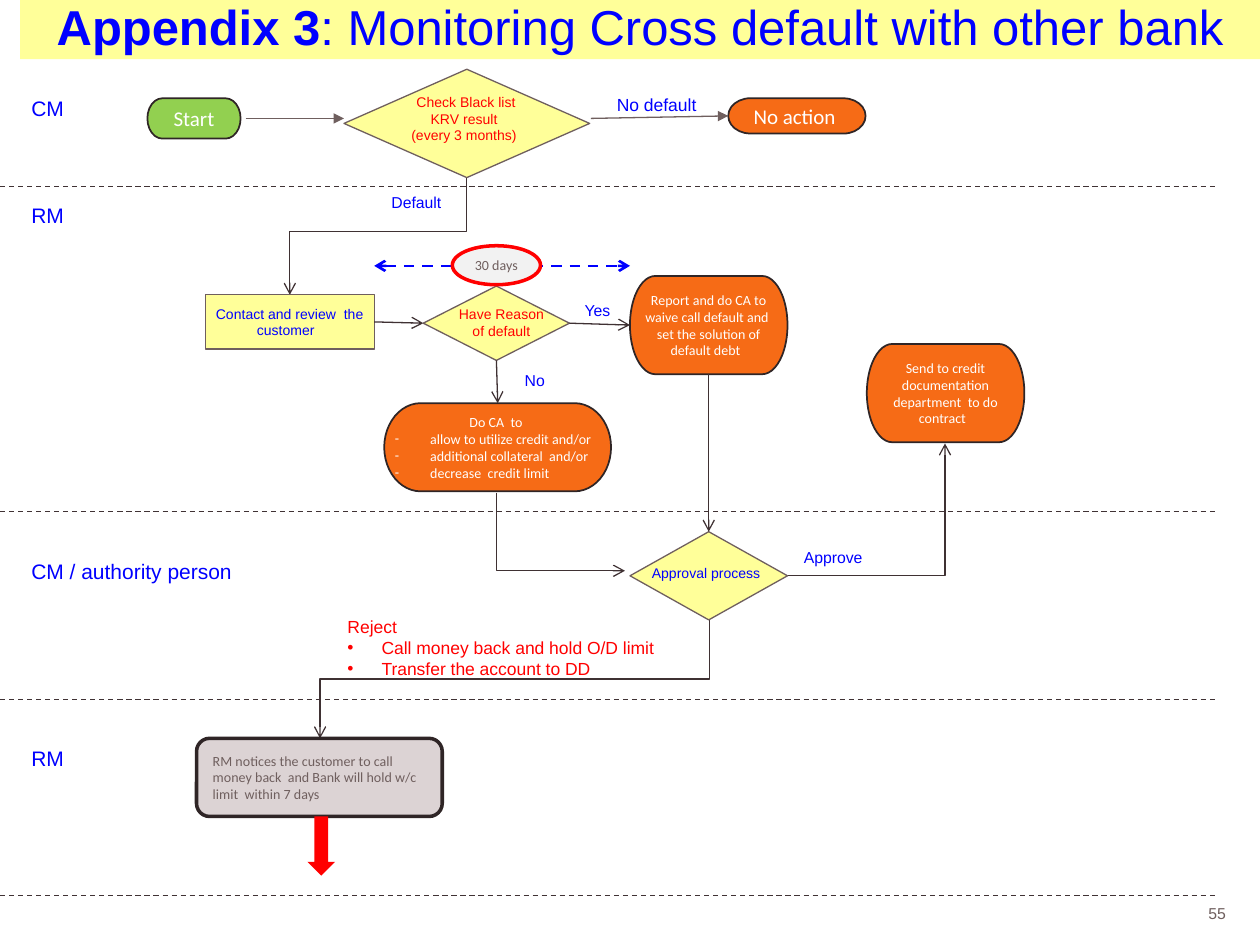
import pptx
import pptx.dml.color
import pptx.enum.dml
import pptx.enum.shapes
import pptx.enum.text
import pptx.oxml
import pptx.oxml.ns
import pptx.util

Inches = pptx.util.Inches
Pt = pptx.util.Pt
SHAPE = pptx.enum.shapes.MSO_SHAPE
CONNECTOR = pptx.enum.shapes.MSO_CONNECTOR
ALIGN = pptx.enum.text.PP_ALIGN
ANCHOR = pptx.enum.text.MSO_ANCHOR
TOP, LEFT, BOTTOM, RIGHT = range(4)

COLORS = {
    "blue": "0000FF", "red": "FF0000", "yellow": "FFFF99", "orange": "F66B16",
    "green": "92D050", "white": "FFFFFF", "pale": "F2F2F2", "mauve": "DCD3D4",
    "taupe": "6F5F5E", "outline": "2F2526", "flow": "3F3133", "divider": "403234",
}
LANE_EDGES = [0.47, 1.48, 4.06, 5.55, 7.11]
LANE_WIDTH = 9.67


def rgb(name):
    return pptx.dml.color.RGBColor.from_string(COLORS[name])


def place(box, left, top, width, height):
    """Absolute position of a part whose offset is measured from the box."""
    return [Inches(value) for value in (box[0] + left, box[1] + top, width, height)]


def sub_element(parent, tag, **attributes):
    element = pptx.oxml.parse_xml(f"<a:{tag} {pptx.oxml.ns.nsdecls('a')}/>")
    for name, value in attributes.items():
        element.set(name, str(value))
    parent.append(element)


def write_text(shape, lines, size=8, font="Arial", color="blue", align=ALIGN.CENTER,
               anchor=ANCHOR.MIDDLE, insets=(0.1, 0.05), wrap=True,
               bullet=None, indent=0.0, bold_lead="", spacing=None):
    """Fill a shape; with a bullet, every line after the first is a list item."""
    frame = shape.text_frame
    frame.word_wrap = wrap
    frame.vertical_anchor = anchor
    frame.margin_left = frame.margin_right = Inches(insets[0])
    frame.margin_top = frame.margin_bottom = Inches(insets[1])
    for number, line in enumerate(lines):
        paragraph = frame.add_paragraph() if number else frame.paragraphs[0]
        paragraph.alignment = align
        if bullet and number:
            paragraph.alignment = ALIGN.LEFT
            properties = paragraph._p.get_or_add_pPr()
            properties.set("marL", str(Inches(indent)))
            properties.set("indent", str(-Inches(indent)))
            sub_element(properties, "buFont", typeface=font)
            sub_element(properties, "buChar", char=bullet)
        if spacing:
            paragraph.line_spacing = spacing
        if bold_lead:
            paragraph.add_run().text = bold_lead
            paragraph.runs[0].font.bold = True
        paragraph.add_run().text = line
        for run in paragraph.runs:
            run.font.size = Pt(size)
            run.font.name = font
            run.font.color.rgb = rgb(color)


def add_label(slide, position, *lines, **text_format):
    label = slide.shapes.add_textbox(*position)
    write_text(label, lines, **{"wrap": False, "anchor": ANCHOR.TOP, **text_format})
    return label


def add_node(slide, kind, position, fill, line=None, weight=0.75):
    node = slide.shapes.add_shape(kind, *position)
    node.shadow.inherit = False
    node.fill.solid()
    node.fill.fore_color.rgb = rgb(fill)
    if line:
        node.line.color.rgb = rgb(line)
        node.line.width = Pt(weight)
    else:
        node.line.fill.background()
    return node


def add_decision(slide, position):
    return add_node(slide, SHAPE.FLOWCHART_DECISION, position, "yellow", "taupe")


def add_terminator(slide, position, *lines, fill="orange", **text_format):
    node = add_node(slide, SHAPE.FLOWCHART_TERMINATOR, position, fill, "outline", 1)
    write_text(node, lines, font="Calibri", color="white", insets=(0, 0.05), **text_format)
    return node


def style_connector(connector, color, weight=0.75, dash=False, head=None, tail=None):
    connector.line.color.rgb = rgb(color)
    connector.line.width = Pt(weight)
    if dash:
        connector.line.dash_style = pptx.enum.dml.MSO_LINE.DASH
    for tag, kind in (("headEnd", head), ("tailEnd", tail)):
        if kind:
            sub_element(connector.line._get_or_add_ln(), tag, type=kind)
    sub_element(connector._element.spPr, "effectLst")


def add_line(slide, box, start, end, color="flow", begin=None, finish=None, **line_format):
    """Straight line; begin and finish are (shape, side) pairs to join."""
    ends = [Inches(box[i] + point[i]) for point in (start, end) for i in (0, 1)]
    connector = slide.shapes.add_connector(CONNECTOR.STRAIGHT, *ends)
    if begin:
        connector.begin_connect(*begin)
    if finish:
        connector.end_connect(*finish)
    style_connector(connector, color, **line_format)


def join(slide, begin, finish):
    add_line(slide, (0, 0), (0, 0), (1, 1), begin=begin, finish=finish, tail="arrow")


def add_elbow(slide, start, end, preset, rotation=0, flip=None):
    (x1, y1), (x2, y2) = start, end
    width, height = abs(x2 - x1), abs(y2 - y1)
    if rotation:
        width, height = height, width
    connector = slide.shapes.add_connector(CONNECTOR.ELBOW, 0, 0, 0, 0)
    connector.left = Inches((x1 + x2 - width) / 2)
    connector.top = Inches((y1 + y2 - height) / 2)
    connector.width, connector.height = Inches(width), Inches(height)
    properties = connector._element.spPr
    properties.xfrm.set("rot", str(rotation * 60000))
    if flip:
        properties.xfrm.set(flip, "1")
    properties.find(pptx.oxml.ns.qn("a:prstGeom")).set("prst", preset)
    style_connector(connector, "flow", tail="arrow")


def add_title(slide, box):
    banner = add_node(slide, SHAPE.RECTANGLE, place(box, 0, 0, 9.84, 0.47), "yellow")
    write_text(banner, [": Monitoring Cross default with other bank"], size=28,
               bold_lead="Appendix 3", spacing=0.9)


def add_lane(slide, box, name, label_top, label_width=0.48):
    add_label(slide, place(box, 0.15, label_top, label_width, 0.3), name, size=12,
              align=ALIGN.LEFT)
    add_line(slide, box, (0, box[3]), (box[2], box[3]), "divider", dash=True)


def add_screening(slide, box):
    add_lane(slide, box, "CM", 0.24)
    add_terminator(slide, place(box, 1.17, 0.31, 0.74, 0.32), "Start", fill="green", size=12)
    add_decision(slide, place(box, 2.73, 0.08, 1.95, 0.86))
    add_label(slide, place(box, 3.05, 0.08, 1.33, 0.78), "Check Black list ", "KRV result  ",
              "(every 3 months)  ", color="red", insets=(0, 0.05), anchor=ANCHOR.MIDDLE)
    no_action = add_terminator(slide, place(box, 5.78, 0.31, 1.09, 0.28), "No action ", size=12)
    add_label(slide, place(box, 4.74, 0.23, 0.98, 0.27), "No default ", size=10)
    add_line(slide, box, (1.95, 0.47), (2.73, 0.47), "taupe", tail="triangle")
    add_line(slide, box, (4.69, 0.47), (5.78, 0.45), "taupe",
             finish=(no_action, LEFT), tail="triangle")


def add_review(slide, box):
    """Return the shape that leads on to the approval."""
    add_lane(slide, box, "RM", 0.08)
    contact = add_node(slide, SHAPE.FLOWCHART_PROCESS, place(box, 1.63, 0.86, 1.34, 0.43),
                       "yellow", "taupe")
    write_text(contact, ["Contact and review  the customer  "], insets=(0.02, 0.05))
    reason = add_decision(slide, place(box, 3.36, 0.79, 1.16, 0.59))
    add_label(slide, place(box, 3.52, 0.83, 0.92, 0.5), "Have Reason", " of default ",
              color="red", insets=(0, 0.05), anchor=ANCHOR.MIDDLE)
    report = add_terminator(
        slide, place(box, 5, 0.71, 1.25, 0.78),
        "Report and do CA to waive call default and  set the solution of default debt  ")
    credit = add_terminator(
        slide, place(box, 3.05, 1.72, 1.8, 0.7), "Do CA  to ",
        "allow to utilize credit and/or", "additional collateral  and/or",
        "decrease  credit limit", bullet="-", indent=0.28)
    add_terminator(slide, place(box, 6.88, 1.25, 1.25, 0.78),
                   "Send to credit documentation department  to do contract  ")
    join(slide, (contact, RIGHT), (reason, LEFT))
    join(slide, (reason, RIGHT), (report, LEFT))
    join(slide, (reason, BOTTOM), (credit, TOP))
    add_line(slide, box, (2.97, 0.63), (5, 0.63), "blue", weight=1.5, dash=True,
             head="arrow", tail="arrow")
    period = add_node(slide, SHAPE.OVAL, place(box, 3.59, 0.47, 0.7, 0.31), "pale", "red", 2)
    write_text(period, ["30 days"], font="Calibri", color="taupe", insets=(0, 0), wrap=False)
    for text, left, top, width in (("Default", 2.97, 0, 0.67), ("Yes ", 4.53, 0.86, 0.46),
                                   ("No", 4.06, 1.41, 0.37)):
        add_label(slide, place(box, left, top, width, 0.25), text, size=9)
    return report


def add_approval(slide, box, report):
    add_lane(slide, box, "CM / authority person", 0.32, 1.88)
    approval = add_decision(slide, place(box, 5, 0.16, 1.25, 0.7))
    add_label(slide, place(box, 5.16, 0.24, 0.92, 0.5), "Approval process ",
              insets=(0, 0.05), anchor=ANCHOR.MIDDLE)
    add_label(slide, place(box, 6.25, 0.24, 0.76, 0.25), "Approve ", size=9)
    add_label(slide, place(box, 2.66, 0.78, 2.93, 0.61), "Reject",
              "Call money back and hold O/D limit", "Transfer the account to DD",
              size=10, color="red", align=ALIGN.LEFT, wrap=True, bullet="•", indent=0.27)
    join(slide, (report, BOTTOM), (approval, TOP))


def add_notice(slide, box):
    add_lane(slide, box, "RM", 0.32)
    notice = add_node(slide, SHAPE.ROUNDED_RECTANGLE, place(box, 1.56, 0.31, 1.95, 0.62),
                      "mauve", "outline", 2)
    write_text(notice, ["RM notices the customer to call money back  and Bank will hold w/c "
                        "limit  within 7 days"],
               font="Calibri", color="taupe", align=ALIGN.LEFT)
    add_node(slide, SHAPE.DOWN_ARROW, place(box, 2.44, 0.93, 0.22, 0.47), "red")


def add_lane_crossings(slide):
    add_elbow(slide, (3.7, 1.33), (2.3, 2.34), "bentConnector3", 90)
    add_elbow(slide, (3.94, 3.91), (4.96, 4.53), "bentConnector2", 270, "flipH")
    add_elbow(slide, (6.25, 4.57), (7.5, 3.52), "bentConnector2", flip="flipV")
    add_elbow(slide, (5.63, 4.92), (2.54, 5.86), "bentConnector3", 90)


def main():
    presentation = pptx.Presentation()
    presentation.slide_width, presentation.slide_height = Inches(10), Inches(7.5)
    slide = presentation.slides.add_slide(presentation.slide_layouts[6])
    lanes = [(0, top, LANE_WIDTH, bottom - top)
             for top, bottom in zip(LANE_EDGES, LANE_EDGES[1:])]
    add_title(slide, (0.16, 0))
    add_lane_crossings(slide)
    add_screening(slide, lanes[0])
    report = add_review(slide, lanes[1])
    add_approval(slide, lanes[2], report)
    add_notice(slide, lanes[3])
    add_label(slide, place((0, 0), 9.59, 7.1, 0.36, 0.29), "55", size=9, color="taupe",
              align=ALIGN.LEFT, anchor=ANCHOR.MIDDLE, insets=(0, 0), wrap=True)
    presentation.save("out.pptx")


if __name__ == "__main__":
    main()
